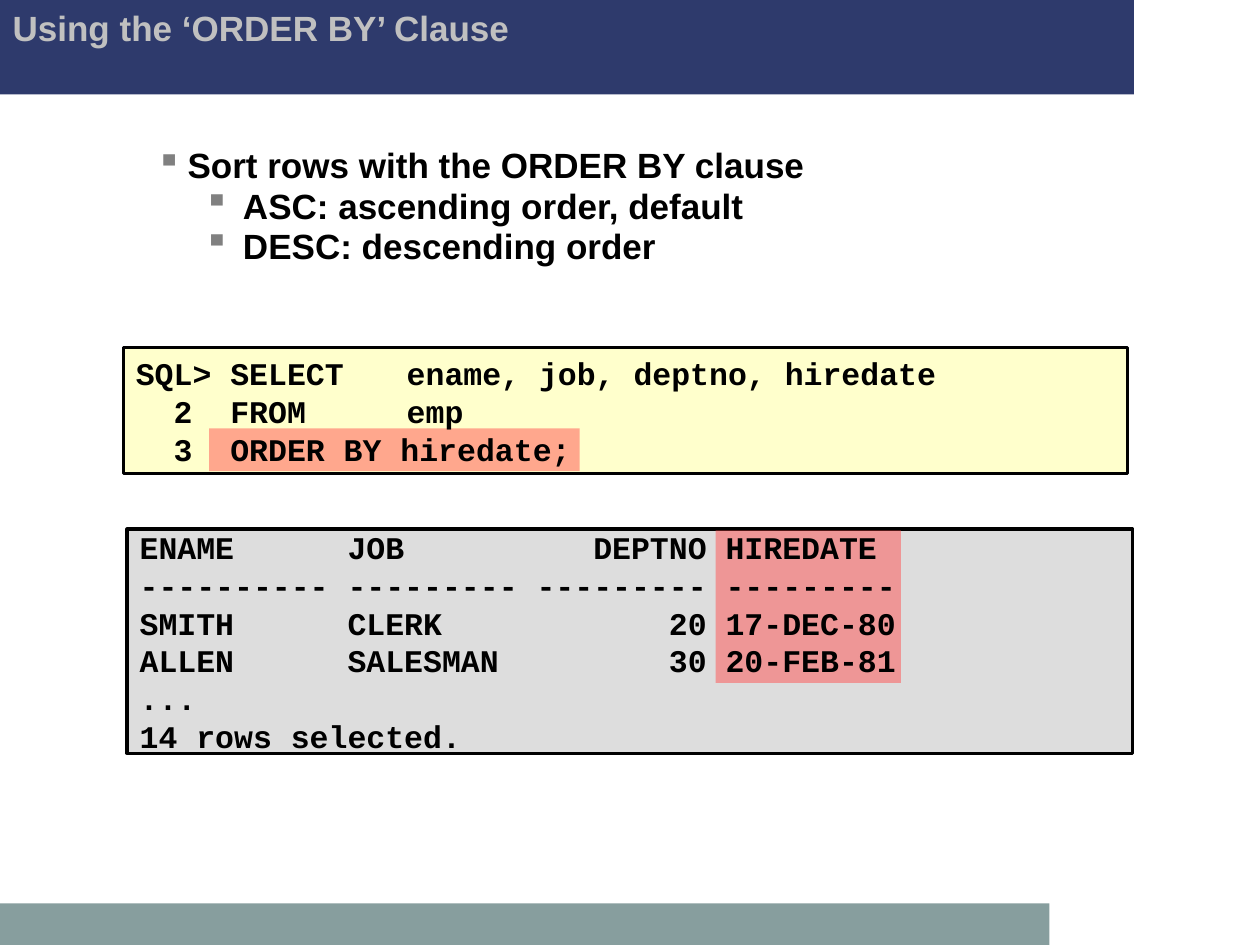
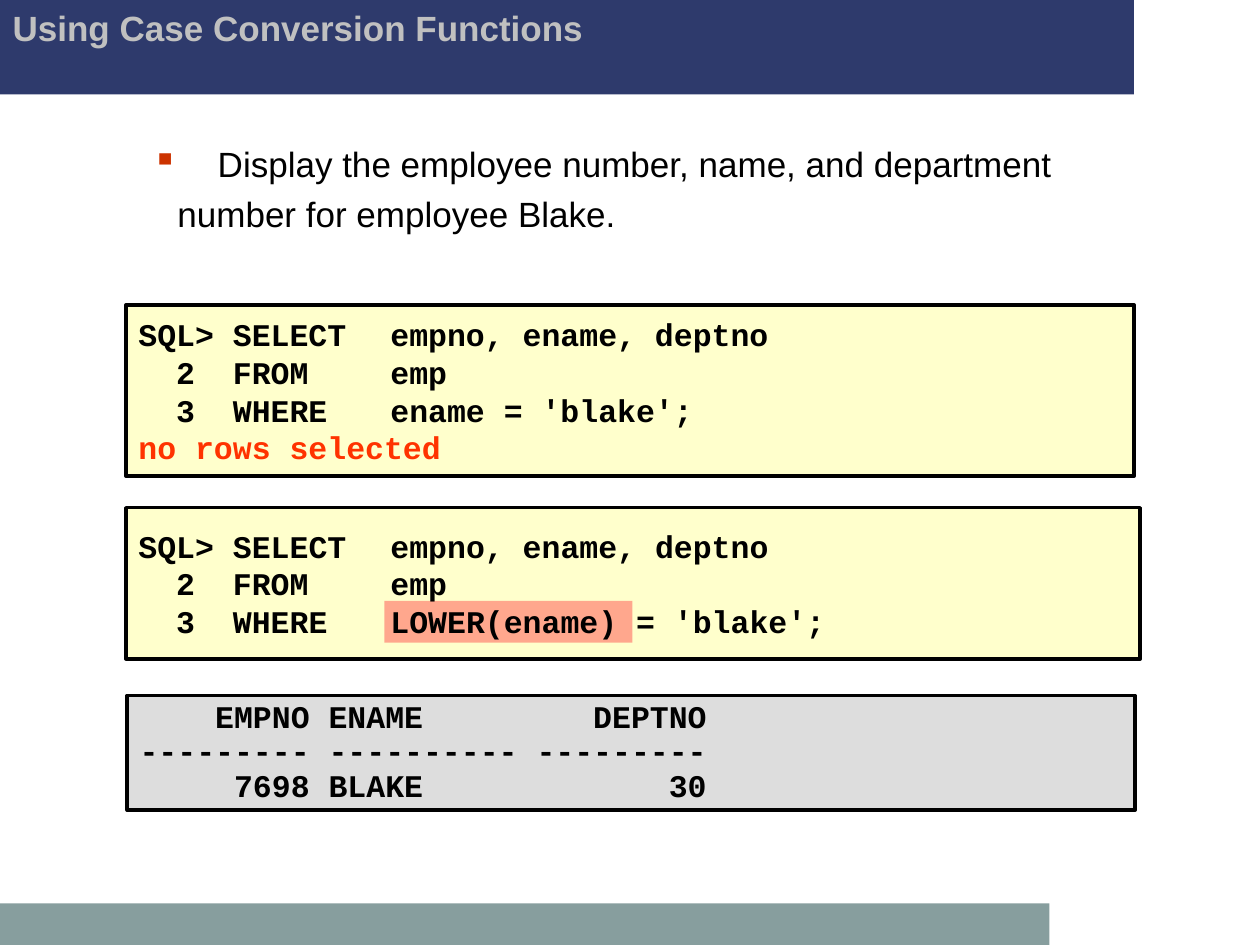
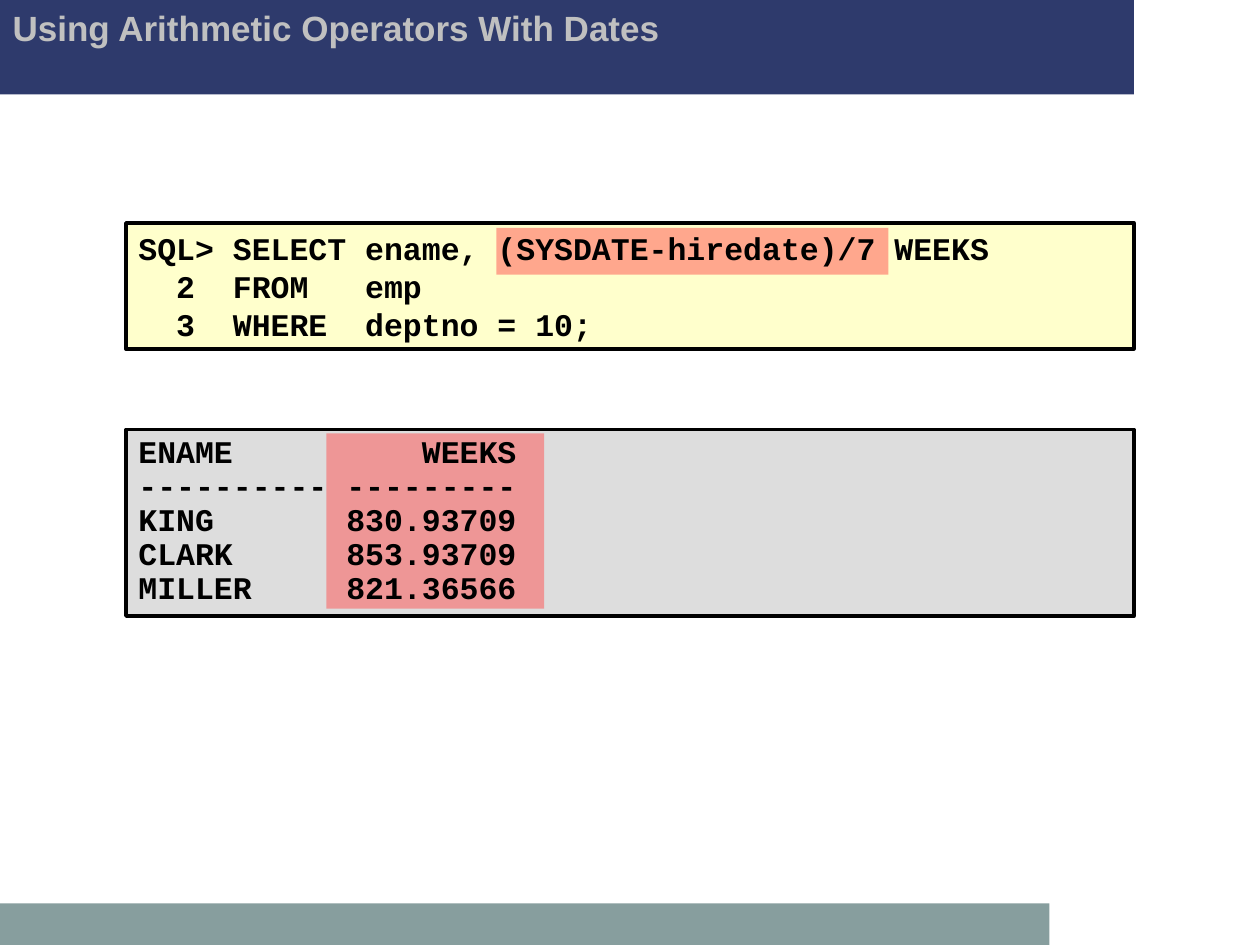
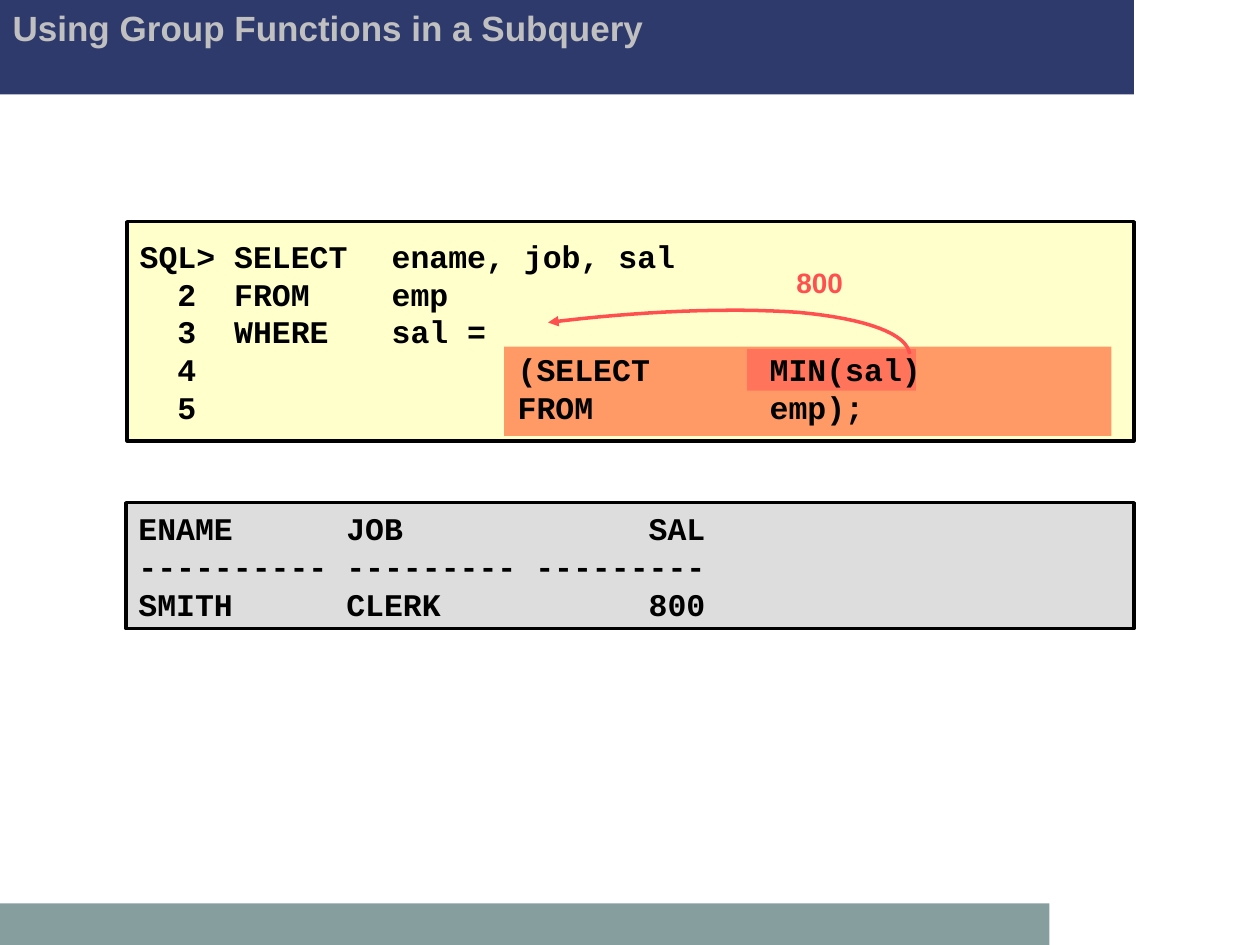
from lxml.etree import SubElement
from pptx import Presentation
from pptx.dml.color import RGBColor
from pptx.enum.shapes import MSO_SHAPE, PP_PLACEHOLDER
from pptx.enum.text import MSO_ANCHOR as ANCHOR, MSO_AUTO_SIZE as AUTO_SIZE, PP_ALIGN as ALIGN
from pptx.oxml.ns import qn
from pptx.util import Inches, Pt

COLORS = {
    "header": "2E3A6C",
    "footer": "879E9E",
    "title": "C0C0C0",
    "text": "000000",
    "query": "FFFFCC",
    "result": "DDDDDD",
    "accent": "FF5050",
    "subquery": "FF9966",
    "message": "FF3300",
    "gray bullet": "808080",
    "red bullet": "CC3300",
}
RGB = {name: RGBColor.from_string(value) for name, value in COLORS.items()}
CODE_TABS = [1.31, 2, 3, 4, 5, 6, 7]
NO_ROWS = "no rows selected"


def add_rect(slide, box, color, outlined=False, opacity=100):
    rect = slide.shapes.add_shape(MSO_SHAPE.RECTANGLE, *map(Inches, box))
    rect.shadow.inherit = False
    rect.fill.solid()
    rect.fill.fore_color.rgb = RGB[color]
    if opacity < 100:
        fill_color = next(rect.element.iter(qn("a:srgbClr")))
        SubElement(fill_color, qn("a:alpha"), val=str(opacity * 1000))
    if outlined:
        rect.line.color.rgb = RGB["text"]
        rect.line.width = Pt(2)
    else:
        rect.line.fill.background()
    return rect


def write_code(shape, lines, spacing):
    """Fill the shape with tabbed code; tight spacing hangs from the top edge."""
    frame = shape.text_frame
    frame.word_wrap = True
    frame.vertical_anchor = ANCHOR.MIDDLE if spacing == 1 else ANCHOR.TOP
    for number, line in enumerate(lines):
        para = frame.paragraphs[0] if number == 0 else frame.add_paragraph()
        para.text = line
        para.alignment = ALIGN.LEFT
        para.line_spacing = spacing
        stops = SubElement(para._p.get_or_add_pPr(), qn("a:tabLst"))
        for stop in CODE_TABS:
            SubElement(stops, qn("a:tab"), pos=str(Inches(stop)), algn="l")
        para.font.name = "Courier New"
        para.font.size = Pt(18)
        para.font.bold = True
        para.font.color.rgb = RGB["message" if line == NO_ROWS else "text"]


prs = Presentation()
prs.slide_width, prs.slide_height = Inches(10), Inches(7.5)
layout = prs.slide_layouts[5]
for placeholder in list(layout.placeholders):
    if placeholder.placeholder_format.type != PP_PLACEHOLDER.TITLE:
        layout.shapes.element.remove(placeholder.element)

# Titles
titles = [
    ("Using the ‘ORDER BY’ Clause", 7.98, 0.58),
    ("Using Case Conversion Functions", 8.43, 0.58),
    ("Using Arithmetic Operators With Dates", 8.5, 0.75),
    ("Using Group Functions in a Subquery", 8.5, 0.67),
]
slides = []
for heading, width, height in titles:
    slide = prs.slides.add_slide(layout)
    slides.append(slide)
    title = slide.shapes.title
    title.left, title.top = 0, 0
    title.width, title.height = Inches(width), Inches(height)
    frame = title.text_frame
    frame.text = heading
    frame.word_wrap = True
    frame.auto_size = AUTO_SIZE.NONE
    frame.vertical_anchor = ANCHOR.TOP
    para = frame.paragraphs[0]
    para.alignment = ALIGN.LEFT
    para.font.name = "Arial"
    para.font.size = Pt(20)
    para.font.bold = True
    para.font.color.rgb = RGB["title"]
order_by, case_functions, date_math, subquery = slides

# Bands are drawn once and moved to the shared layout, behind its title
header = add_rect(order_by, (0, 0, 9, 0.75), "header")
footer = add_rect(order_by, (0, 7.17, 8.33, 0.33), "footer")
for band in (header, footer):
    layout.shapes.element.insert(2, band.element)

# Introductions: text, left margin, first-line indent, bullet colour
introductions = [
    (order_by, (1.02, 1.17, 7.98, 1.09), True, 0.75, [
        ("Sort rows with the ORDER BY clause", 0.37, -0.25, "gray bullet"),
        ("ASC: ascending order, default", 0.81, -0.31, "gray bullet"),
        ("DESC: descending order", 0.81, -0.31, "gray bullet"),
    ]),
    (case_functions, (1, 1.08, 8, 0.84), False, 1, [
        ("Display the employee number, name, and department", 0.63, -0.52, "red bullet"),
        ("number for employee Blake.", 0.31, 0, None),
    ]),
]
for slide, box, bold, spacing, points in introductions:
    frame = slide.shapes.add_textbox(*map(Inches, box)).text_frame
    frame.word_wrap = True
    for number, (text, margin, indent, bullet) in enumerate(points):
        para = frame.paragraphs[0] if number == 0 else frame.add_paragraph()
        para.text = text
        para.line_spacing = spacing
        para.space_before = Pt(5 if number else 0)
        props = para._p.get_or_add_pPr()
        props.set("marL", str(Inches(margin)))
        props.set("indent", str(Inches(indent)))
        if bullet:
            bullet_color = SubElement(props, qn("a:buClr"))
            SubElement(bullet_color, qn("a:srgbClr"), val=COLORS[bullet])
            SubElement(props, qn("a:buChar"), char="▪")
        para.font.name = "Arial"
        para.font.size = Pt(20)
        para.font.bold = bold
        para.font.color.rgb = RGB["text"]

# Queries and results: slide, box, kind, line spacing, highlights, lines
panels = [
    (order_by, (0.98, 2.76, 7.97, 1), "query", 1,
     [((1.66, 3.4, 2.94, 0.34), "accent", 50)],
     ["SQL> SELECT  \t ename, job, deptno, hiredate",
      "  2  FROM    \t emp",
      "  3  ORDER BY hiredate;"]),
    (order_by, (1.01, 4.2, 7.98, 1.78), "result", 1,
     [((5.68, 4.21, 1.47, 1.21), "accent", 50)],
     ["ENAME      JOB          DEPTNO HIREDATE",
      "---------- --------- --------- ---------",
      "SMITH      CLERK            20 17-DEC-80",
      "ALLEN      SALESMAN         30 20-FEB-81",
      "...",
      "14 rows selected."]),
    (case_functions, (1, 2.42, 8, 1.36), "query", 1, [],
     ["SQL> SELECT\tempno, ename, deptno",
      "  2  FROM\temp",
      "  3  WHERE\tename = 'blake';",
      NO_ROWS]),
    (case_functions, (1, 4.03, 8.05, 1.2), "query", 1,
     [((3.05, 4.77, 1.97, 0.33), "accent", 50)],
     ["SQL> SELECT\tempno, ename, deptno",
      "  2  FROM\temp",
      "  3  WHERE \tLOWER(ename) = 'blake';"]),
    (case_functions, (1.01, 5.52, 8, 0.91), "result", 0.9, [],
     ["    EMPNO ENAME         DEPTNO",
      "--------- ---------- ---------",
      "     7698 BLAKE             30"]),
    (date_math, (1, 1.77, 8, 1), "query", 1,
     [((3.94, 1.81, 3.11, 0.37), "accent", 50)],
     ["SQL> SELECT ename, (SYSDATE-hiredate)/7 WEEKS",
      "  2  FROM   emp",
      "  3  WHERE  deptno = 10;"]),
    (date_math, (1, 3.41, 8, 1.48), "result", 0.9,
     [((2.59, 3.44, 1.73, 1.39), "accent", 50)],
     ["ENAME          WEEKS",
      "---------- ---------",
      "KING       830.93709",
      "CLARK      853.93709",
      "MILLER     821.36566"]),
    (subquery, (1.01, 1.76, 7.99, 1.74), "query", 1,
     [((4, 2.75, 4.82, 0.71), "subquery", 100),
      ((5.93, 2.77, 1.34, 0.33), "accent", 50)],
     ["SQL> SELECT\tename, job, sal",
      "  2  FROM\temp",
      "  3  WHERE\tsal =",
      "  4\t\t\t(SELECT\tMIN(sal)",
      "  5\t\t\tFROM\t\temp);"]),
    (subquery, (1, 3.99, 8, 1), "result", 1, [],
     ["ENAME      JOB             SAL",
      "---------- --------- ---------",
      "SMITH      CLERK           800"]),
]
for slide, box, kind, spacing, highlights, lines in panels:
    panel = add_rect(slide, box, kind, outlined=True)
    for area, color, opacity in highlights:
        add_rect(slide, area, color, opacity=opacity)
    code = slide.shapes.add_textbox(*map(Inches, box)) if highlights else panel
    write_code(code, lines, spacing)

# Arrow that carries the subquery's value back to the WHERE clause
curves = [
    [(4.35, 2.56), (5.07, 2.47), (5.79, 2.44), (6.34, 2.48)],
    [(6.34, 2.48), (6.88, 2.53), (7.2, 2.65), (7.22, 2.81)],
    ]
# The bowed line leaves MIN(sal) at the right and points left
arc_shift = (0, 0)
STEPS = 16
arc_points = []
for curve in curves:
    for step in range(1, STEPS + 1):
        t = step / STEPS
        weights = [(1 - t) ** 3, 3 * t * (1 - t) ** 2, 3 * t ** 2 * (1 - t), t ** 3]
        arc_points.append(tuple(
            Inches(sum(w * point[axis] for w, point in zip(weights, curve)) + arc_shift[axis])
            for axis in (0, 1)))
start_x, start_y = curves[0][0]
builder = subquery.shapes.build_freeform(Inches(start_x), Inches(start_y))
builder.add_line_segments(arc_points, close=False)
value_arrow = builder.convert_to_shape()
value_arrow.shadow.inherit = False
value_arrow.fill.background()
value_arrow.line.color.rgb = RGB["accent"]
value_arrow.line.width = Pt(2)
SubElement(value_arrow.line._get_or_add_ln(), qn("a:headEnd"), type="triangle")

value_label = subquery.shapes.add_textbox(*map(Inches, (6.22, 2.03, 0.57, 0.42)))
frame = value_label.text_frame
frame.word_wrap = False
frame.vertical_anchor = ANCHOR.MIDDLE
para = frame.paragraphs[0]
para.text = "800"
para.alignment = ALIGN.CENTER
para.font.name = "Arial"
para.font.size = Pt(16)
para.font.bold = True
para.font.color.rgb = RGB["accent"]

prs.save("out.pptx")
